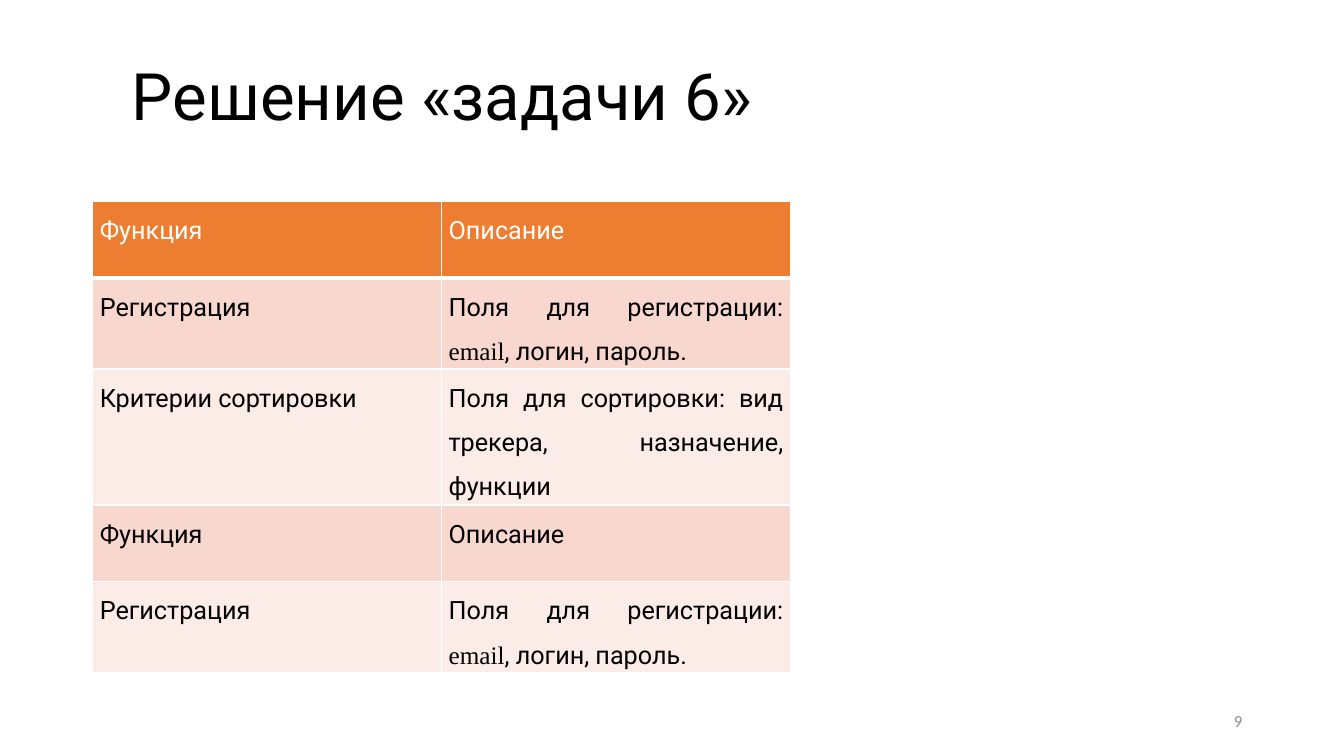
from typing import NamedTuple

from lxml import etree
from pptx import Presentation
from pptx.dml.color import RGBColor
from pptx.enum.text import MSO_ANCHOR, PP_ALIGN
from pptx.oxml.ns import qn
from pptx.util import Inches, Pt

MIDDLE = MSO_ANCHOR.MIDDLE
LEFT = PP_ALIGN.LEFT
RIGHT = PP_ALIGN.RIGHT
JUSTIFY = PP_ALIGN.JUSTIFY

COLORS = {
    "white": "FFFFFF",
    "black": "000000",
    "gray": "8C8C8C",
    "head": "ED7D31",
    "dark": "F8D7CE",
    "light": "FCECE8",
}
FONT = "Roboto"
LATIN = "email"


class Label(NamedTuple):
    text: str
    left: float
    top: float
    width: float
    height: float
    size: float
    font: str
    color: str
    align: PP_ALIGN
    spacing: float


class Row(NamedTuple):
    name: str
    about: str
    fill: str
    color: str = "black"


LABELS = [
    Label("Решение «задачи 6»", 1.21, 0.53, 11.9, 0.91, 46.7, FONT, "black", LEFT, 0.9),
    Label("9", 9.42, 6.95, 3, 0.4, 12, "Calibri", "gray", RIGHT, 1),
]
SIGN_UP = "Поля для регистрации: email, логин, пароль."
SORTING = "Поля для сортировки: вид трекера, назначение, функции"
ROWS = [
    Row("Функция", "Описание", "head", "white"),
    Row("Регистрация", SIGN_UP, "dark"),
    Row("Критерии сортировки", SORTING, "light"),
    Row("Функция", "Описание", "dark"),
    Row("Регистрация", SIGN_UP, "light"),
]


def rgb(name: str) -> RGBColor:
    return RGBColor.from_string(COLORS[name])


def style(run, size: float, font: str, color: str) -> None:
    run.font.size = Pt(size)
    run.font.name = font
    run.font.bold = False
    run.font.color.rgb = rgb(color)


def add_label(slide, label: Label) -> None:
    box = slide.shapes.add_textbox(
        Inches(label.left), Inches(label.top), Inches(label.width), Inches(label.height)
    )
    frame = box.text_frame
    frame.word_wrap = True
    frame.vertical_anchor = MIDDLE
    frame.text = label.text
    line = frame.paragraphs[0]
    line.alignment = label.align
    line.line_spacing = label.spacing
    style(line.runs[0], label.size, label.font, label.color)


def add_edges(cell, base: float) -> None:
    """Draw white borders, with the bottom one of the given width in points."""
    props = cell._tc.get_or_add_tcPr()
    for spot, (tag, width) in enumerate(
        [("a:lnL", 1), ("a:lnR", 1), ("a:lnT", 1), ("a:lnB", base)]
    ):
        edge = etree.Element(qn(tag), w=str(Pt(width)))
        fill = etree.SubElement(edge, qn("a:solidFill"))
        etree.SubElement(fill, qn("a:srgbClr"), val=COLORS["white"])
        props.insert(spot, edge)


def fill_cell(cell, text: str, row: Row) -> None:
    cell.margin_left = cell.margin_right = Inches(0.07)
    cell.margin_top = cell.margin_bottom = 0
    cell.fill.solid()
    cell.fill.fore_color.rgb = rgb(row.fill)
    add_edges(cell, 3 if row.fill == "head" else 1)
    line = cell.text_frame.paragraphs[0]
    line.alignment = JUSTIFY
    line.line_spacing = 1.5
    for part in filter(None, text.partition(LATIN)):
        run = line.add_run()
        run.text = part
        style(run, 18, "Times New Roman" if part == LATIN else FONT, row.color)


def add_grid(slide) -> None:
    height = 0.76
    table = slide.shapes.add_table(
        len(ROWS), 2, Inches(0.92), Inches(2), Inches(6.92), Inches(height * len(ROWS))
    ).table
    for index, row in enumerate(ROWS):
        table.rows[index].height = Inches(height)
        for column, text in enumerate((row.name, row.about)):
            fill_cell(table.cell(index, column), text, row)


def main() -> None:
    deck = Presentation()
    deck.slide_width = Inches(13.33)
    deck.slide_height = Inches(7.5)
    slide = deck.slides.add_slide(deck.slide_layouts[6])
    for label in LABELS:
        add_label(slide, label)
    add_grid(slide)
    deck.save("out.pptx")


if __name__ == "__main__":
    main()
